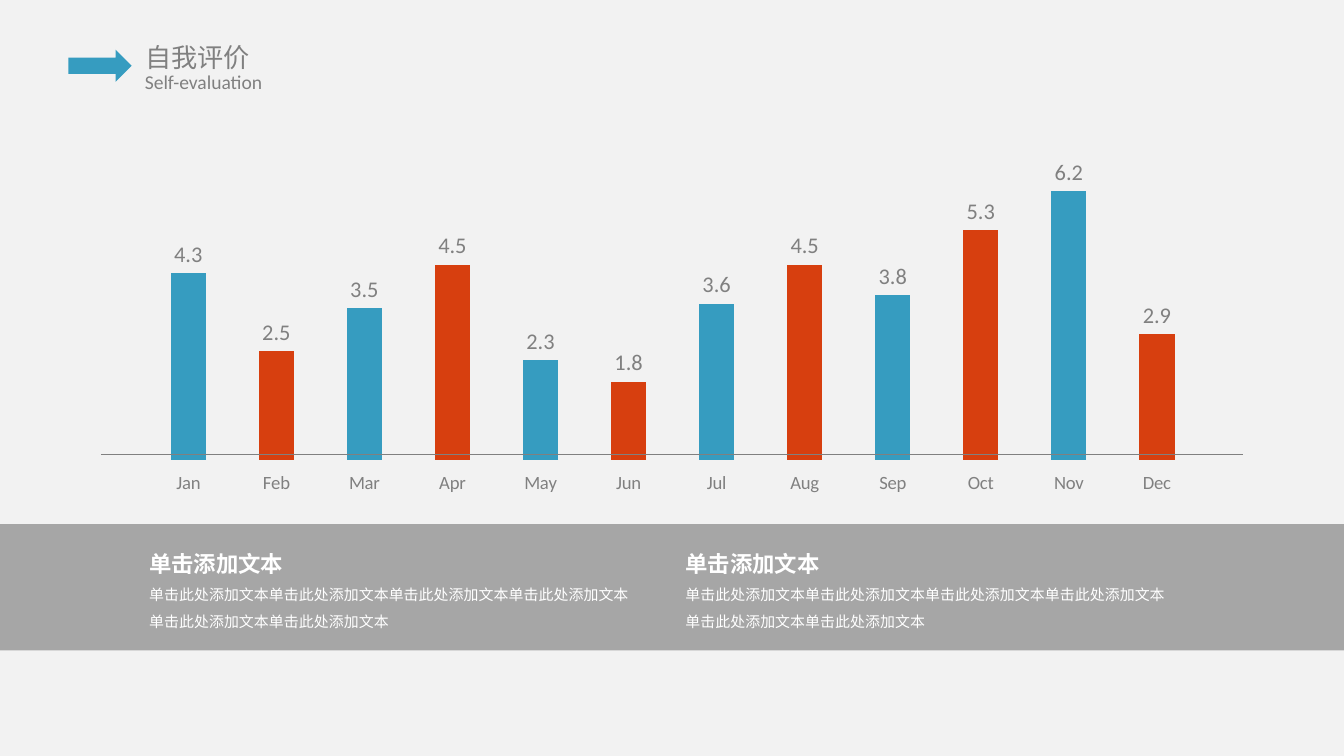
from dataclasses import dataclass

from lxml.etree import SubElement
from pptx import Presentation
from pptx.chart.data import CategoryChartData
from pptx.dml.color import RGBColor
from pptx.enum.chart import XL_CHART_TYPE as ChartType
from pptx.enum.chart import XL_LABEL_POSITION as LabelPos
from pptx.enum.chart import XL_TICK_MARK as Tick
from pptx.enum.shapes import MSO_CONNECTOR as Connector
from pptx.enum.shapes import MSO_SHAPE as Shape
from pptx.enum.text import MSO_ANCHOR as Anchor
from pptx.enum.text import MSO_AUTO_SIZE as AutoSize
from pptx.enum.text import PP_ALIGN as Align
from pptx.oxml.ns import qn
from pptx.util import Inches, Pt

BACKGROUND = RGBColor(0xF2, 0xF2, 0xF2)
GREY = RGBColor(0x80, 0x80, 0x80)
BAND = RGBColor(0xA6, 0xA6, 0xA6)
BLUE = RGBColor(0x36, 0x9C, 0xC0)
RED = RGBColor(0xD7, 0x3F, 0x0F)
WHITE = RGBColor(0xFF, 0xFF, 0xFF)
BLACK = RGBColor(0, 0, 0)
LATIN = "Calibri"
CJK = "Noto Sans CJK SC"
MONTHS = "Jan Feb Mar Apr May Jun Jul Aug Sep Oct Nov Dec".split()
VALUES = [4.3, 2.5, 3.5, 4.5, 2.3, 1.8, 3.6, 4.5, 3.8, 5.3, 6.2, 2.9]
PHRASE = "单击此处添加文本"


@dataclass
class Note:
    left: float
    heading: str
    lines: list[str]


@dataclass
class Block:
    kind: Shape
    left: float
    top: float
    width: float
    height: float
    color: RGBColor


NOTES = [
    Note(left, "单击添加文本", [PHRASE * 4, PHRASE * 2]) for left in (1.11, 5.1)
]
ARROW = Block(Shape.RIGHT_ARROW, 0.51, 0.37, 0.47, 0.24, BLUE)
NOTE_BAND = Block(Shape.RECTANGLE, 0, 3.9, 10, 0.94, BAND)


def style_font(font, name: str, size: float, color: RGBColor, bold: bool = False) -> None:
    font.name = name
    font.size = Pt(size)
    font.bold = bold
    font.color.rgb = color


def style_paragraph(p, name: str, size: float, color: RGBColor, bold: bool = False) -> None:
    p.alignment = Align.LEFT
    style_font(p.font, name, size, color, bold)
    SubElement(p._p.pPr.find(qn("a:defRPr")), qn("a:ea"), typeface=name)


def add_block(s, block: Block) -> None:
    sp = s.shapes.add_shape(
        block.kind, Inches(block.left), Inches(block.top),
        Inches(block.width), Inches(block.height),
    )
    sp.shadow.inherit = False
    sp.fill.solid()
    sp.fill.fore_color.rgb = block.color
    sp.line.fill.background()


def set_heading(sp, text: str, name: str, size: float) -> None:
    tf = sp.text_frame
    tf.text = text
    tf.word_wrap = False
    tf.auto_size = AutoSize.NONE
    tf.vertical_anchor = Anchor.TOP
    style_paragraph(tf.paragraphs[0], name, size, GREY)


def add_header(s) -> None:
    title = s.shapes.title
    title.left, title.top = Inches(0.98), Inches(0.26)
    title.width, title.height = Inches(1), Inches(0.34)
    set_heading(title, "自我评价", CJK, 14)
    subtitle = s.shapes.add_textbox(
        Inches(0.98), Inches(0.47), Inches(1.11), Inches(0.28)
    )
    set_heading(subtitle, "Self-evaluation", LATIN, 10.5)


def add_month_chart(s) -> None:
    data = CategoryChartData()
    data.categories = MONTHS
    data.add_series("Series 1", VALUES)
    chart = s.shapes.add_chart(
        ChartType.COLUMN_CLUSTERED, Inches(0.91), Inches(1.11),
        Inches(8.19), Inches(2.62), data,
    ).chart
    chart.has_legend = False
    chart.has_title = False
    style_font(chart.font, LATIN, 18, BLACK)

    months = chart.category_axis
    months.major_tick_mark = Tick.OUTSIDE
    months.format.line.fill.background()
    style_font(months.tick_labels.font, LATIN, 10, GREY)
    scores = chart.value_axis
    scores.visible = False
    scores.has_major_gridlines = False
    scores.minimum_scale, scores.maximum_scale = 0, 7

    plot = chart.plots[0]
    plot.gap_width = 150
    plot.vary_by_categories = False
    series = plot.series[0]
    series.format.fill.solid()
    series.format.fill.fore_color.rgb = RED
    for i in range(0, len(VALUES), 2):
        fill = series.points[i].format.fill
        fill.solid()
        fill.fore_color.rgb = BLUE
    labels = series.data_labels
    labels.show_value = True
    labels.position = LabelPos.OUTSIDE_END
    style_font(labels.font, LATIN, 12, GREY)


def add_baseline(s) -> None:
    line = s.shapes.add_connector(
        Connector.STRAIGHT, Inches(0.75), Inches(3.38), Inches(9.25), Inches(3.38)
    )
    line.line.color.rgb = GREY
    line.line.width = Pt(0.5)
    SubElement(line._element.spPr, qn("a:effectLst"))


def add_note(s, note: Note) -> None:
    tf = s.shapes.add_textbox(
        Inches(note.left), Inches(4.05), Inches(3.77), Inches(0.65)
    ).text_frame
    tf.word_wrap = True
    tf.margin_left = tf.margin_top = tf.margin_right = tf.margin_bottom = 0
    for i, text in enumerate([note.heading, *note.lines]):
        p = tf.add_paragraph() if i else tf.paragraphs[0]
        p.text = text
        p.line_spacing = 1.2
        if i:
            p.space_before = Pt(3)
        style_paragraph(p, CJK, 8 if i else 12, WHITE, bold=not i)


def main() -> None:
    prs = Presentation()
    prs.slide_width = Inches(10)
    prs.slide_height = prs.slide_width * 9 // 16
    s = prs.slides.add_slide(prs.slide_layouts[5])
    s.background.fill.solid()
    s.background.fill.fore_color.rgb = BACKGROUND
    add_header(s)
    add_block(s, ARROW)
    add_month_chart(s)
    add_baseline(s)
    add_block(s, NOTE_BAND)
    for note in NOTES:
        add_note(s, note)
    prs.save("out.pptx")


if __name__ == "__main__":
    main()
